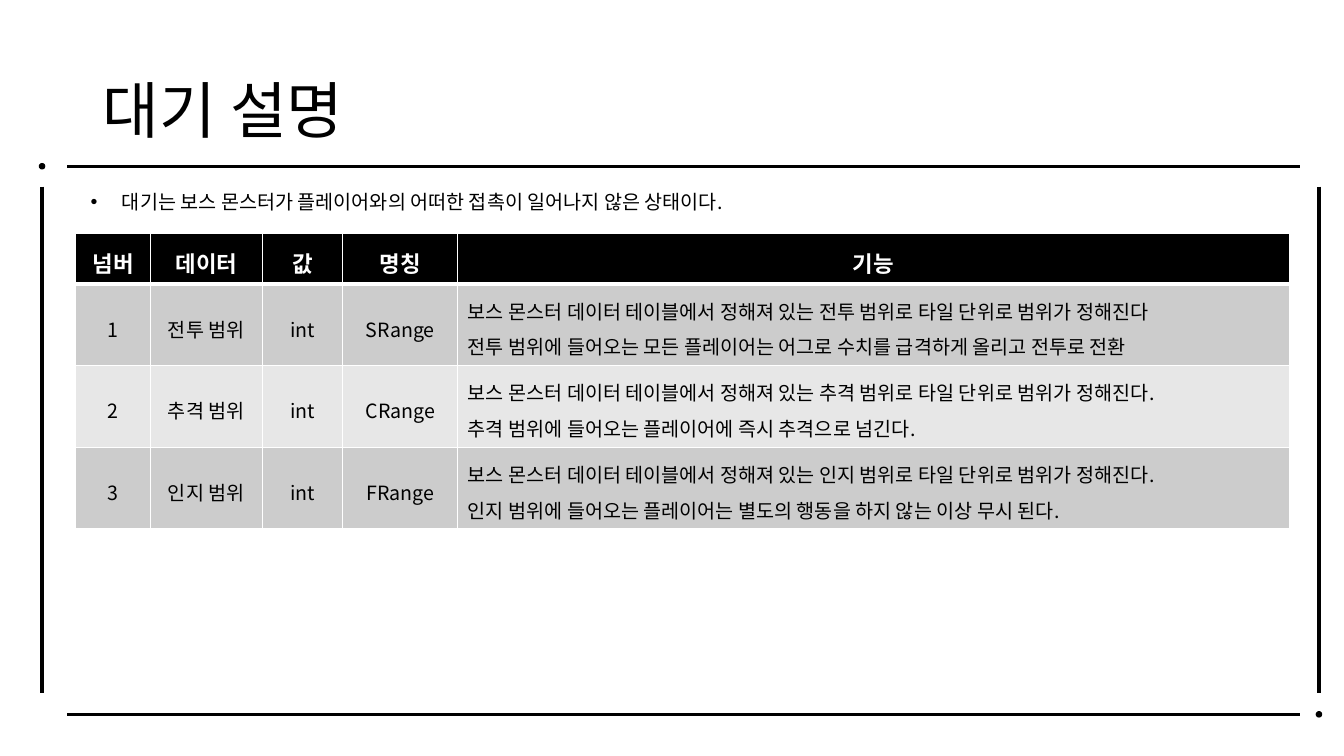
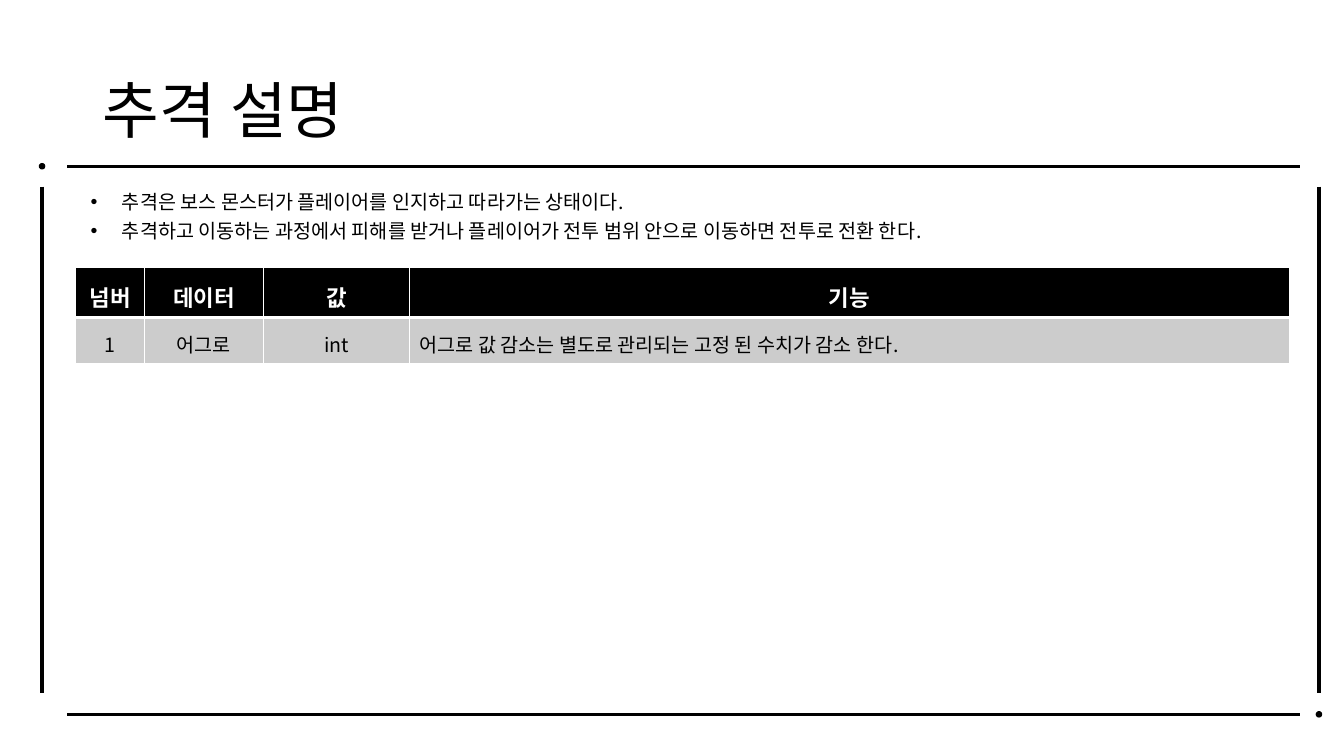
from lxml.etree import SubElement
from pptx import Presentation
from pptx.dml.color import RGBColor
from pptx.enum.shapes import MSO_CONNECTOR as CONN, MSO_SHAPE as SHAPE
from pptx.enum.text import MSO_ANCHOR as ANCHOR, MSO_AUTO_SIZE as FIT, PP_ALIGN as ALIGN
from pptx.oxml.ns import qn
from pptx.util import Cm, Pt

FONT = "Noto Sans CJK KR"
COLORS = {"ink": "000000", "paper": "FFFFFF", "band_dark": "CCCCCC", "band_light": "E7E7E7"}
TABLE_LEFT, TABLE_WIDTH, ROW_HEIGHT = 1.91, 30.58, 1.04
LEFT, RIGHT, TOP, BOTTOM = 1.06, 33.24, 4.19, 18.0
DOT = 0.13

SLIDES = [
    {
        "title": "대기 설명",
        "bullets": ["대기는 보스 몬스터가 플레이어와의 어떠한 접촉이 일어나지 않은 상태이다."],
        "table_top": 5.89,
        "widths": [1.88, 2.82, 2.03, 2.9],
        "rows": [
            ["넘버", "데이터", "값", "명칭", "기능"],
            ["1", "전투 범위", "int", "SRange",
             "보스 몬스터 데이터 테이블에서 정해져 있는 전투 범위로 타일 단위로 범위가 정해진다\n"
             "전투 범위에 들어오는 모든 플레이어는 어그로 수치를 급격하게 올리고 전투로 전환"],
            ["2", "추격 범위", "int", "CRange",
             "보스 몬스터 데이터 테이블에서 정해져 있는 추격 범위로 타일 단위로 범위가 정해진다.\n"
             "추격 범위에 들어오는 플레이어에 즉시 추격으로 넘긴다."],
            ["3", "인지 범위", "int", "FRange",
             "보스 몬스터 데이터 테이블에서 정해져 있는 인지 범위로 타일 단위로 범위가 정해진다.\n"
             "인지 범위에 들어오는 플레이어는 별도의 행동을 하지 않는 이상 무시 된다."],
        ],
    },
    {
        "title": "추격 설명",
        "bullets": [
            "추격은 보스 몬스터가 플레이어를 인지하고 따라가는 상태이다.",
            "추격하고 이동하는 과정에서 피해를 받거나 플레이어가 전투 범위 안으로 이동하면 전투로 전환 한다.",
        ],
        "table_top": 6.73,
        "widths": [1.73, 3.0, 3.68],
        "rows": [
            ["넘버", "데이터", "값", "기능"],
            ["1", "어그로", "int", "어그로 값 감소는 별도로 관리되는 고정 된 수치가 감소 한다."],
        ],
    },
]


def rgb(name):
    return RGBColor.from_string(COLORS[name])


def format_text(tf, size, color="ink", bold=False, align=ALIGN.LEFT, spacing=1.25):
    for p in tf.paragraphs:
        p.alignment = align
        p.line_spacing = spacing
        p.space_before = Pt(0)
        for r in p.runs:
            r.font.size = Pt(size)
            r.font.bold = bold
            r.font.name = FONT
            r.font.color.rgb = rgb(color)
            SubElement(r.font._element, qn("a:ea"), typeface=FONT)


def place(sp, left, top, width, height):
    sp.left, sp.top, sp.width, sp.height = Cm(left), Cm(top), Cm(width), Cm(height)


def add_line(s, x1, y1, x2, y2):
    line = s.shapes.add_connector(CONN.STRAIGHT, Cm(x1), Cm(y1), Cm(x2), Cm(y2))
    line.line.color.rgb = rgb("ink")
    line.line.width = Pt(2.25)
    SubElement(line.element.spPr, qn("a:effectLst"))
    return line


def add_dot(s, x, y):
    dot = s.shapes.add_shape(SHAPE.OVAL, Cm(x - DOT / 2), Cm(y - DOT / 2), Cm(DOT), Cm(DOT))
    dot.shadow.inherit = False
    dot.fill.solid()
    dot.fill.fore_color.rgb = rgb("ink")
    dot.line.color.rgb = rgb("ink")
    dot.line.width = Pt(1)
    return dot


def add_frame(s, layout):
    parts = [add_line(s, 1.7, y, 32.77, y) for y in (TOP, BOTTOM)]
    parts += [add_line(s, x, 4.7, x, 17.45) for x in (LEFT, RIGHT)]
    parts += [add_dot(s, LEFT, TOP), add_dot(s, RIGHT, BOTTOM)]
    for number, part in enumerate(parts, 20):
        part.element.xpath(".//p:cNvPr")[0].set("id", str(number))
        layout.shapes.element.append(part.element)


def set_title(s, text):
    sp = s.shapes.title
    place(sp, 2.34, 1.02, 29.21, 3.68)
    tf = sp.text_frame
    tf.text = text
    tf.auto_size = FIT.NONE
    tf.vertical_anchor = ANCHOR.MIDDLE
    format_text(tf, 44, spacing=0.9)


def set_bullets(s, lines):
    sp = s.placeholders[1]
    place(sp, 2.03, 4.5, 30, 1.04 * len(lines))
    tf = sp.text_frame
    tf.text = "\n".join(lines)
    tf.auto_size = FIT.NONE
    tf.vertical_anchor = ANCHOR.TOP
    for p in tf.paragraphs:
        pPr = p._p.get_or_add_pPr()
        pPr.set("marL", str(Cm(0.79)))
        pPr.set("indent", str(-Cm(0.79)))
        SubElement(pPr, qn("a:buFont"), typeface="Arial")
        SubElement(pPr, qn("a:buChar"), char="•")
    format_text(tf, 14)


def set_borders(cell, top, bottom):
    tcPr = cell._tc.get_or_add_tcPr()
    for side, width in (("L", 1), ("R", 1), ("T", top), ("B", bottom)):
        ln = SubElement(tcPr, qn(f"a:ln{side}"), w=str(Pt(width)))
        fill = SubElement(ln, qn("a:solidFill"))
        SubElement(fill, qn("a:srgbClr"), val=COLORS["paper"])


def format_cell(cell, row, is_description):
    is_header = row == 0
    set_borders(cell, 3 if row == 1 else 1, 3 if is_header else 1)
    cell.fill.solid()
    band = "band_dark" if row % 2 else "band_light"
    cell.fill.fore_color.rgb = rgb("ink" if is_header else band)
    cell.vertical_anchor = ANCHOR.MIDDLE
    if is_header:
        format_text(cell.text_frame, 16, "paper", True, ALIGN.CENTER)
    else:
        align = ALIGN.LEFT if is_description else ALIGN.CENTER
        format_text(cell.text_frame, 14, align=align)


def add_data_table(s, top, widths, rows):
    widths = widths + [TABLE_WIDTH - sum(widths)]
    frame = s.shapes.add_table(len(rows), len(widths), Cm(TABLE_LEFT), Cm(top),
                               Cm(TABLE_WIDTH), Cm(ROW_HEIGHT * len(rows)))
    table = frame.table
    table.horz_banding = False
    for column, width in zip(table.columns, widths):
        column.width = Cm(width)
    for i, row in enumerate(rows):
        for j, text in enumerate(row):
            cell = table.cell(i, j)
            cell.text_frame.text = text
            format_cell(cell, i, j == len(row) - 1)


def main():
    prs = Presentation()
    prs.slide_width, prs.slide_height = Cm(33.87), Cm(19.05)
    layout = prs.slide_layouts[1]
    for i, content in enumerate(SLIDES):
        s = prs.slides.add_slide(layout)
        if i == 0:
            add_frame(s, layout)
        set_title(s, content["title"])
        add_data_table(s, content["table_top"], content["widths"], content["rows"])
        set_bullets(s, content["bullets"])
    prs.save("out.pptx")


if __name__ == "__main__":
    main()
